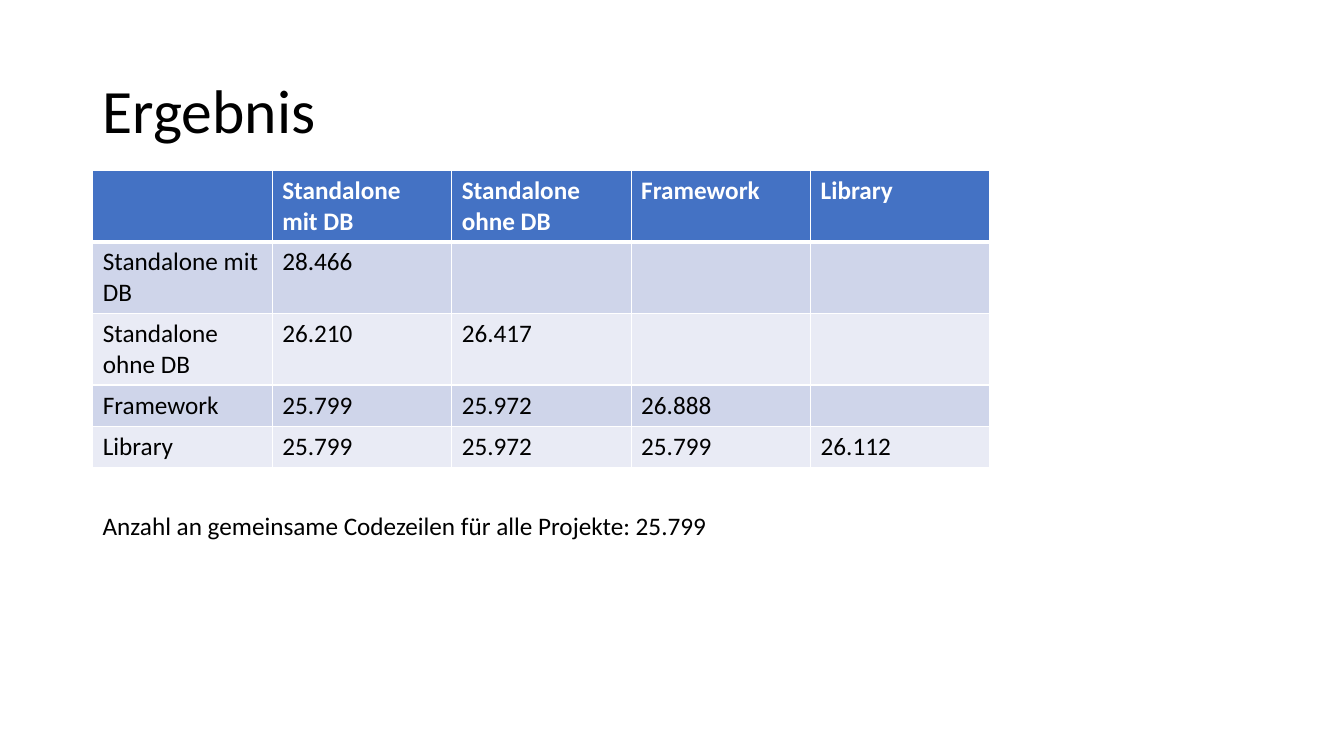
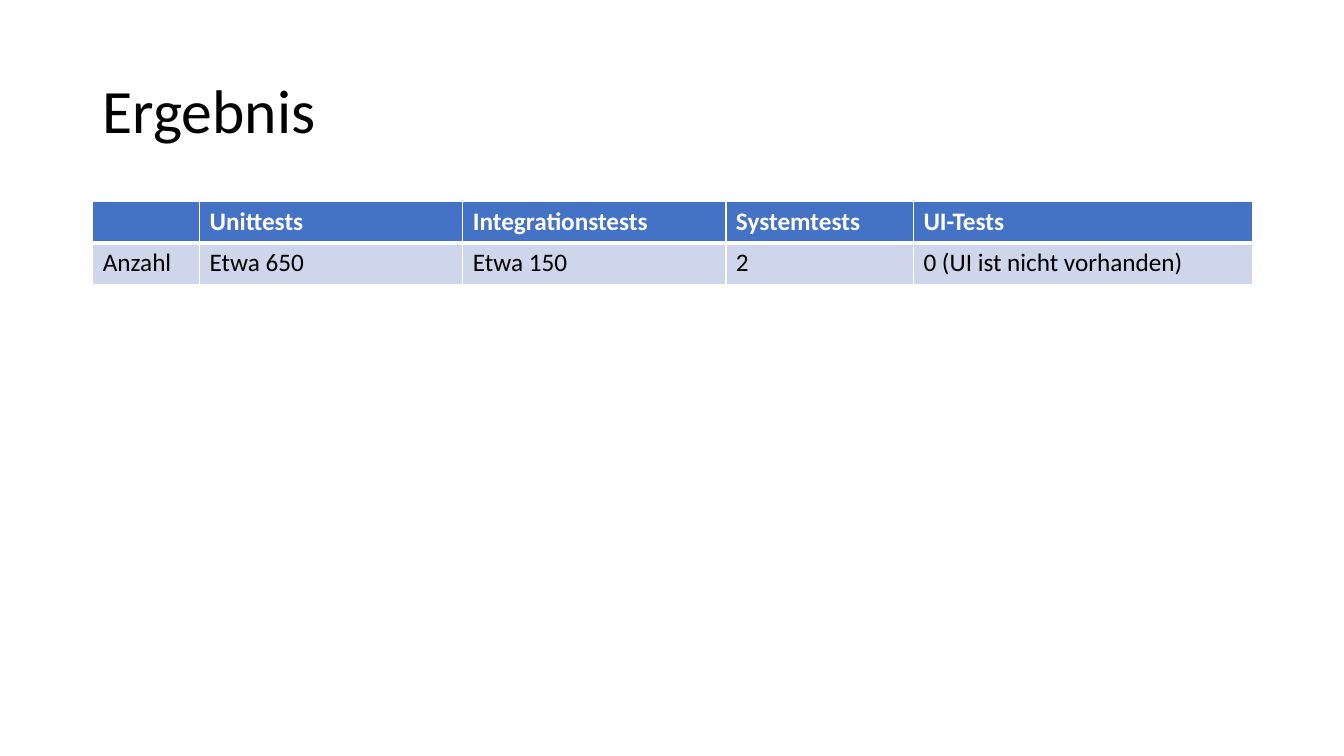
from lxml.etree import SubElement
from pptx import Presentation
from pptx.dml.color import RGBColor
from pptx.enum.text import MSO_ANCHOR
from pptx.oxml.ns import qn
from pptx.util import Inches, Pt

COLORS = {"text": "000000", "white": "FFFFFF", "head": "4472C4",
          "odd": "CFD5EA", "even": "E9EBF5"}
FONT = "Calibri"
LEFT = 0.92
WIDTH = 11.5
ROW = 0.41
TALL_ROW = 0.71  # two lines of text

TITLE = {"size": Pt(44)}
BODY = {"size": Pt(18)}
HEADER = {"size": Pt(18), "bold": True}


def rgb(name):
    return RGBColor.from_string(COLORS[name])


class Deck:
    def __init__(self):
        self.prs = Presentation()
        self.prs.slide_width = Inches(13.33)
        self.prs.slide_height = Inches(7.5)
        self.s = None

    def slide(self, title):
        self.s = self.prs.slides.add_slide(self.prs.slide_layouts[6])
        tf = self.text(title, 0.4, WIDTH, 1.45, TITLE)
        tf.vertical_anchor = MSO_ANCHOR.MIDDLE
        tf.paragraphs[0].line_spacing = 0.9

    def add_text(self, tf, text, style, color="text"):
        r = tf.paragraphs[0].add_run()
        r.text = text
        for name, value in {"name": FONT, **style}.items():
            setattr(r.font, name, value)
        r.font.color.rgb = rgb(color)

    def text(self, text, top, width, height, style=BODY, wrap=True):
        sp = self.s.shapes.add_textbox(Inches(LEFT), Inches(top),
                                       Inches(width), Inches(height))
        tf = sp.text_frame
        tf.word_wrap = wrap
        self.add_text(tf, text, style)
        return tf

    def borders(self, cell, widths):
        tc_pr = cell._tc.get_or_add_tcPr()
        # Border lines come before the fill
        for i, (side, width) in enumerate(widths.items()):
            ln = SubElement(tc_pr, qn(f"a:ln{side}"), w=str(Pt(width)))
            fill = SubElement(ln, qn("a:solidFill"))
            SubElement(fill, qn("a:srgbClr"), val=COLORS["white"])
            tc_pr.insert(i, ln)

    def table(self, top, cols, heights, rows):
        frame = self.s.shapes.add_table(
            len(rows), len(cols), Inches(LEFT), Inches(top),
            Inches(sum(cols)), Inches(sum(heights)))
        table = frame.table
        for column, width in zip(table.columns, cols):
            column.width = Inches(width)
        for i, (row, height) in enumerate(zip(rows, heights)):
            table.rows[i].height = Inches(height)
            band = "head" if i == 0 else "odd" if i % 2 else "even"
            style, color = (BODY, "text") if i else (HEADER, "white")
            # The line under the header row is thicker
            widths = {"L": 1, "R": 1, "T": 3 if i == 1 else 1,
                      "B": 3 if i == 0 else 1}
            for j in range(len(cols)):
                cell = table.cell(i, j)
                cell.fill.solid()
                cell.fill.fore_color.rgb = rgb(band)
                self.borders(cell, widths)
                if j < len(row) and row[j]:
                    self.add_text(cell.text_frame, row[j], style, color)


def main():
    deck = Deck()

    # Shared lines of code per pair of projects
    deck.slide("Ergebnis")
    projects = ["Standalone mit DB", "Standalone ohne DB", "Framework", "Library"]
    shared = [["28.466"],
              ["26.210", "26.417"],
              ["25.799", "25.972", "26.888"],
              ["25.799", "25.972", "25.799", "26.112"]]
    deck.table(1.69, [1.78] * 5, [TALL_ROW] * 3 + [ROW] * 2,
               [["", *projects]] + [[name, *values]
                                    for name, values in zip(projects, shared)])
    deck.text("Anzahl an gemeinsame Codezeilen für alle Projekte: 25.799",
              5.01, 6.26, 0.4, wrap=False)

    # Number of tests by kind
    deck.slide("Ergebnis")
    deck.table(2, [1.06, 2.61, 2.61, 1.86, 3.36], [ROW] * 2,
               [["", "Unittests", "Integrationstests", "Systemtests", "UI-Tests"],
                ["Anzahl", "Etwa 650", "Etwa 150", "2",
                 "0 (UI ist nicht vorhanden)"]])

    deck.prs.save("out.pptx")


if __name__ == "__main__":
    main()
